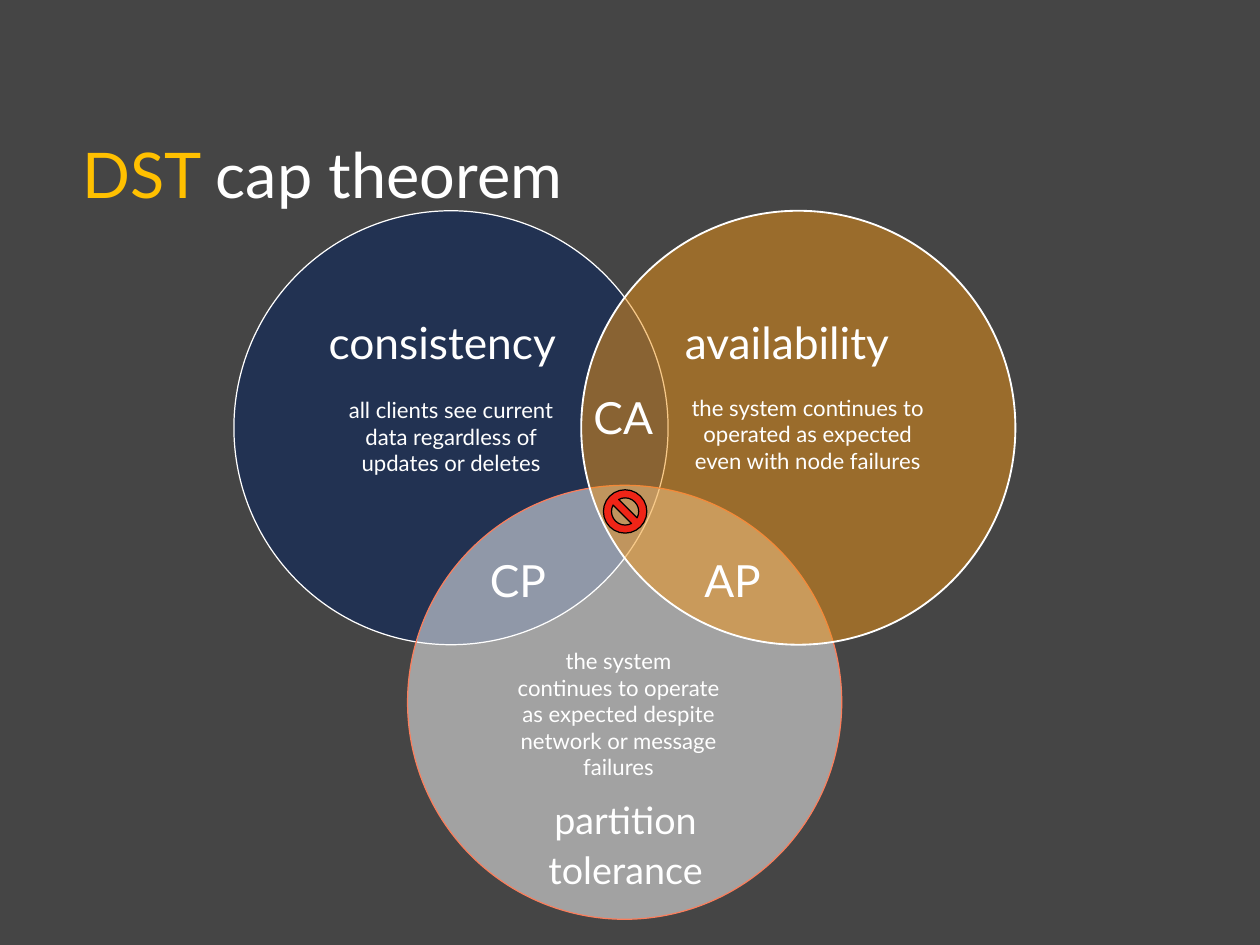
import pptx
import pptx.dml.color
import pptx.enum.shapes
import pptx.enum.text
import pptx.oxml
import pptx.oxml.ns
import pptx.util

EMU_PER_PX = 9144  # 100 px to the inch
COLORS = {
    "background": "454545", "white": "FFFFFF", "accent": "FFC000",
    "navy": "002060", "orange": "F09415", "coral": "FA7E5C",
    "red": "FF0000", "black": "000000",
}
SHAPES = pptx.enum.shapes.MSO_SHAPE
ANCHORS = pptx.enum.text.MSO_ANCHOR
ALIGN = pptx.enum.text.PP_ALIGN


def px(n):
    return pptx.util.Emu(n * EMU_PER_PX)


def rgb(name):
    return pptx.dml.color.RGBColor.from_string(COLORS[name])


class Deck:
    """Holds the text style and the current slide."""

    def __init__(self, width, height, font):
        self.font = font
        self.prs = pptx.Presentation()
        self.prs.slide_width, self.prs.slide_height = px(width), px(height)
        self.slide = self.prs.slides.add_slide(self.prs.slide_layouts[6])
        fill = self.slide.background.fill
        fill.solid()
        fill.fore_color.rgb = rgb("background")

    def shape(self, kind, box, fill, opacity, line, line_width):
        sp = self.slide.shapes.add_shape(kind, *map(px, box))
        sp.shadow.inherit = False
        sp.fill.solid()
        sp.fill.fore_color.rgb = rgb(fill)
        color = sp.fill._xPr.find(".//" + pptx.oxml.ns.qn("a:srgbClr"))
        alpha = pptx.oxml.parse_xml(
            f'<a:alpha {pptx.oxml.ns.nsdecls("a")} val="{opacity * 1000}"/>')
        color.append(alpha)
        sp.line.color.rgb = rgb(line)
        sp.line.width = pptx.util.Pt(line_width)

    def text(self, box, runs, size, spacing=1.0, align=ALIGN.LEFT,
             anchor=ANCHORS.MIDDLE):
        """Add a text box; runs is a list of (text, colour name)."""
        tf = self.slide.shapes.add_textbox(*map(px, box)).text_frame
        tf.word_wrap = True
        tf.vertical_anchor = anchor
        p = tf.paragraphs[0]
        p.alignment = align
        p.line_spacing = spacing
        p.font.name, p.font.size = self.font, pptx.util.Pt(size)
        for text, color in runs:
            r = p.add_run()
            r.text = text
            r.font.color.rgb = rgb(color)

    def label(self, text, left, top, width):
        self.text((left, top, width, 88), [(text, "white")], 36, 0.9)

    def description(self, text, box):
        self.text(box, [(text, "white")], 18, align=ALIGN.CENTER,
                  anchor=ANCHORS.TOP)


def main():
    deck = Deck(1422, 1067, "Lato")
    deck.text((83, 117, 1073, 168),
              [("DST ", "accent"), ("cap theorem", "white")], 51.2, 0.9)

    diameter, left, step = 490, 264, 196
    circles = [(238, "navy", "white", 1), (548, "white", "coral", 1),
               (238, "orange", "white", 1.5)]
    for i, (top, fill, line, line_width) in enumerate(circles):
        deck.shape(SHAPES.OVAL, (left + i * step, top, diameter, diameter),
                   fill, 50, line, line_width)

    deck.label("consistency", 361, 346, 297)
    deck.label("availability", 763, 346, 277)
    deck.text((603, 877, 206, 148), [("partition tolerance", "white")],
              30.6, 1.1, ALIGN.CENTER)
    for pair, x, y in [("CA", 660, 430), ("CP", 543, 614), ("AP", 785, 614)]:
        deck.label(pair, x, y, 93)

    deck.shape(SHAPES.NO_SYMBOL, (681, 553, 49, 49), "red", 75, "black", 1)

    deck.description("all clients see current data regardless of updates "
                     "or deletes", (373, 443, 272, 101))
    deck.description("the system continues to operated as expected even "
                     "with node failures", (762, 440, 299, 101))
    deck.description("the system continues to operate as expected despite "
                     "network or message failures", (572, 726, 252, 162))
    deck.prs.save("out.pptx")


if __name__ == "__main__":
    main()
